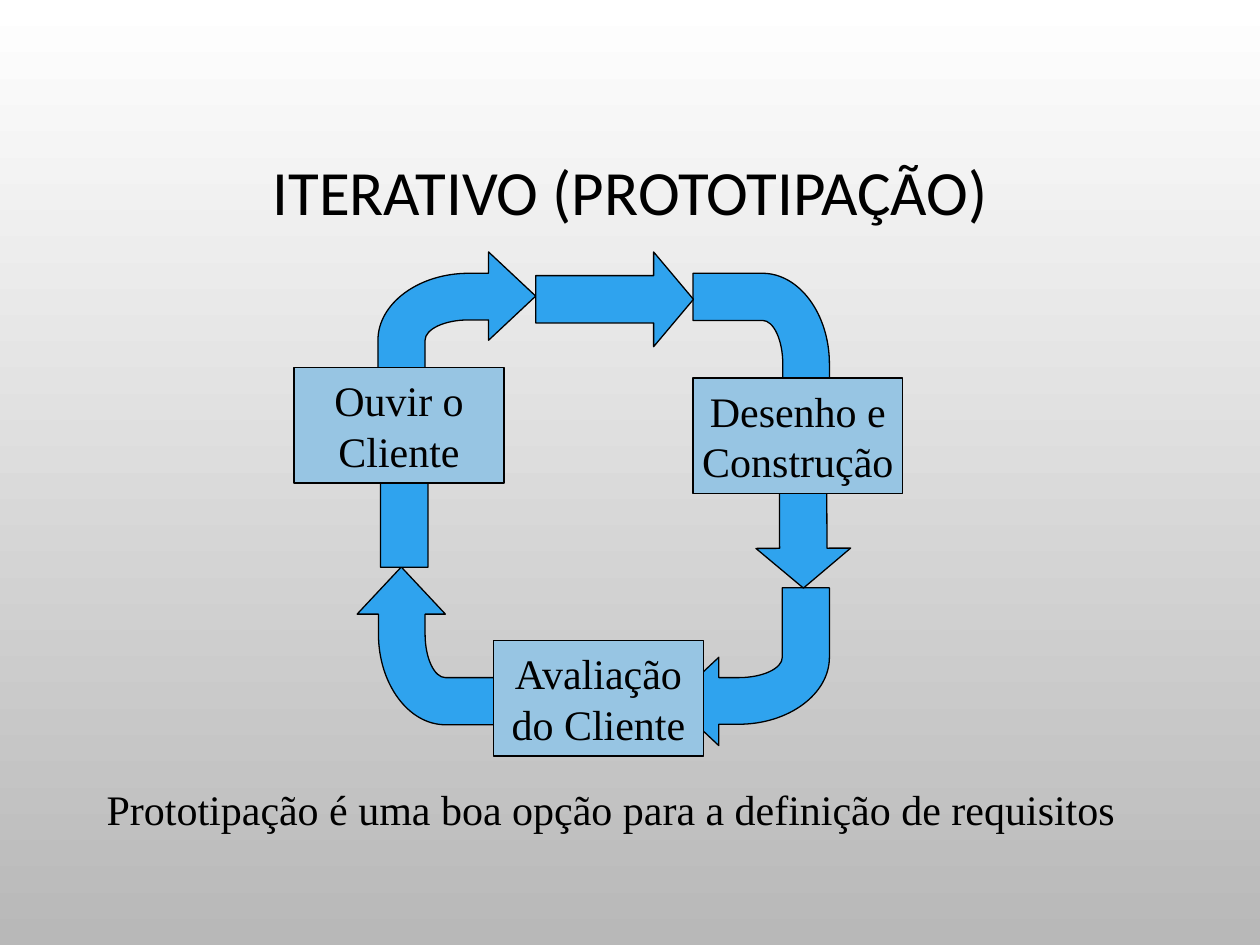
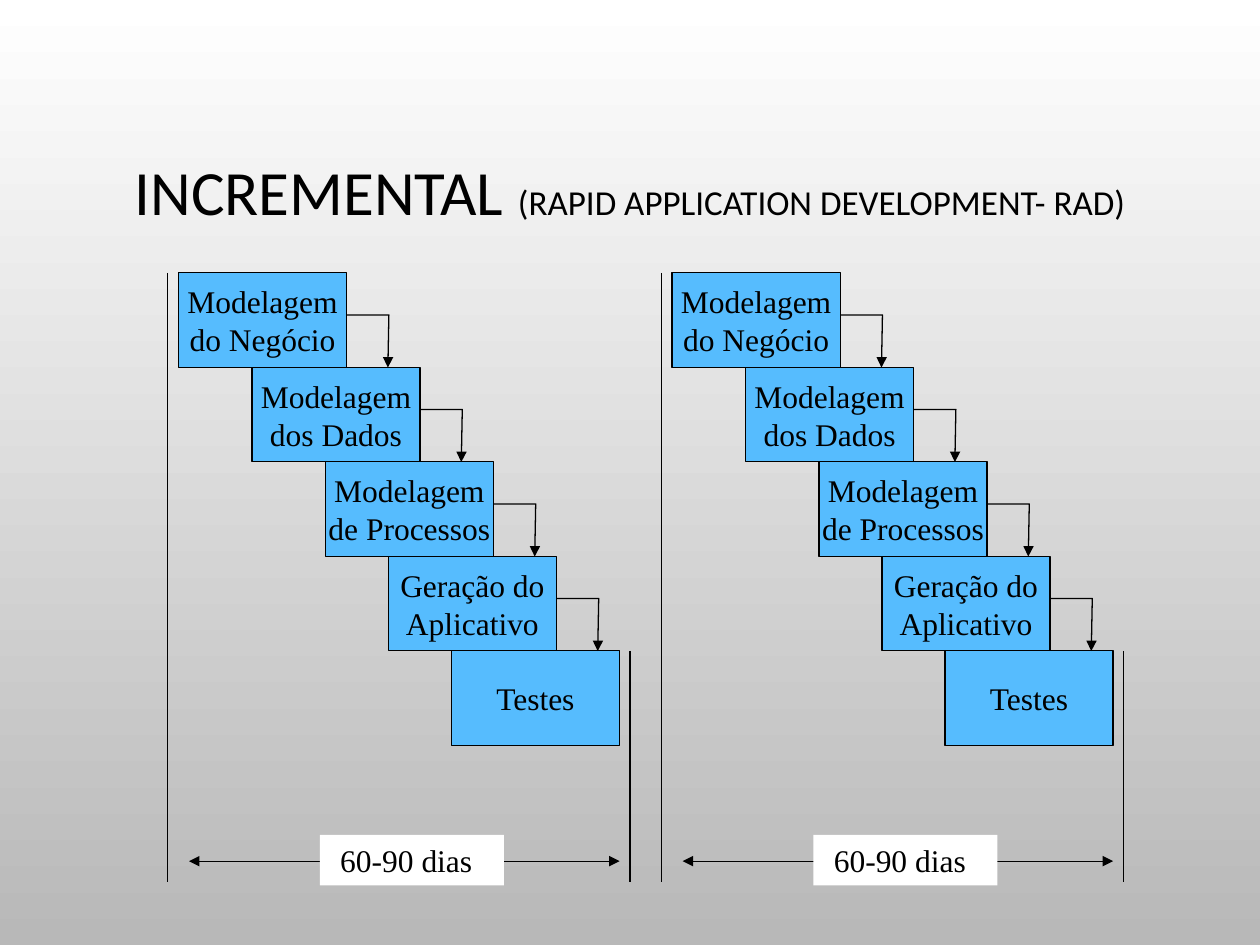
from dataclasses import dataclass

from lxml.etree import SubElement
from pptx import Presentation
from pptx.dml.color import RGBColor
from pptx.enum.shapes import MSO_CONNECTOR as Connector, MSO_SHAPE as Preset
from pptx.enum.text import MSO_ANCHOR as Anchor, MSO_AUTO_SIZE as AutoSize, PP_ALIGN as Align
from pptx.oxml.ns import qn
from pptx.util import Cm, Pt

# Shared colours, fonts and sizes
BLACK = RGBColor(0x00, 0x00, 0x00)
WHITE = RGBColor(0xFF, 0xFF, 0xFF)
GREY = RGBColor(0xB8, 0xB8, 0xB8)
ARROW_BLUE = RGBColor(0x2F, 0xA3, 0xEE)
ACTIVITY_BLUE = RGBColor(0x97, 0xC5, 0xE3)
STEP_BLUE = RGBColor(0x56, 0xBC, 0xFE)
TITLE_FONT = "Calibri"
BODY_FONT = "Times New Roman"
LINE_WIDTH = Pt(0.75)

# Outline of a bent arrow, in centimetres; a CURVE ends a quarter ellipse
BENT_SIZE = 3.18
BENT_OUTLINE = [(BENT_SIZE, 0.89), (2.23, 0), (2.23, 0.43), (1.83, 0.43),
                (0, 1.78), (0, BENT_SIZE), (0.95, BENT_SIZE), (0.95, 1.78),
                (1.83, 1.37), (2.23, 1.37), (2.23, 1.78)]
BENT_CURVES = {4: (0, 0.43), 8: (0.95, 1.37)}  # end point index: corner rounded off
ROUNDNESS = 0.55

# Geometry of the incremental cascades, in centimetres
CASCADE_TOP, LAST_STEP_TOP = 5.5, 13.12
CASCADE_SHIFT = 9.95
STEP_WIDTH = 3.39
STEP_HEIGHT = (LAST_STEP_TOP - CASCADE_TOP) / 4
AXIS_BOTTOM = 17.78
SPAN_Y = 17.36


@dataclass(frozen=True)
class Box:
    """A labelled rectangle; lengths in centimetres."""
    text: str
    left: float
    top: float
    width: float
    height: float
    fill: RGBColor
    size: int


@dataclass(frozen=True)
class Arrow:
    """A block arrow; lengths in centimetres, rotation in degrees."""
    left: float
    top: float
    rotation: float


@dataclass(frozen=True)
class Step:
    text: str
    left: float


BENT_ARROWS = [Arrow(7.62, 5.08, 0), Arrow(13.97, 5.51, 90),
               Arrow(7.2, 11.43, 270), Arrow(13.54, 11.85, 180)]
STRAIGHT_ARROWS = [Arrow(10.8, 5.08, 0), Arrow(14.6, 9.31, 89.8), Arrow(6.56, 8.89, 270)]
ACTIVITIES = [Box(text, left, top, 4.23, 2.33, ACTIVITY_BLUE, 24) for text, left, top in (
    ("Ouvir o\nCliente", 5.93, 7.41),
    ("Desenho e\nConstrução", 13.97, 7.62),
    ("Avaliação\ndo Cliente", 9.95, 12.91))]
STEPS = [Step("Modelagem\ndo Negócio", 3.6), Step("Modelagem\ndos Dados", 5.08),
         Step("Modelagem\nde Processos", 6.56), Step("Geração do\nAplicativo", 7.83),
         Step("Testes", 9.1)]


def write_text(frame, text: str, *, size: int, font: str = BODY_FONT, color: RGBColor = BLACK,
               align=Align.LEFT, anchor=Anchor.TOP, wrap: bool = True,
               spacing: float = 1.0, tail: str = "", tail_size: int = 0) -> None:
    """Write one paragraph per line; the tail ends the last one in its own size."""
    frame.auto_size = AutoSize.NONE
    frame.word_wrap = wrap
    frame.vertical_anchor = anchor
    frame.text = text
    for paragraph in frame.paragraphs:
        paragraph.alignment = align
        paragraph.line_spacing = spacing
    if tail:
        frame.paragraphs[-1].add_run().text = tail
    for paragraph in frame.paragraphs:
        for run in paragraph.runs:
            run.font.name = font
            run.font.size = Pt(size)
            run.font.color.rgb = color
    if tail:
        frame.paragraphs[-1].runs[-1].font.size = Pt(tail_size)


def outline(shape) -> None:
    shape.line.color.rgb = BLACK
    shape.line.width = LINE_WIDTH


def paint(shape, fill: RGBColor) -> None:
    shape.shadow.inherit = False
    shape.fill.solid()
    shape.fill.fore_color.rgb = fill
    outline(shape)


def add_arrowheads(shape, *ends: str) -> None:
    line = shape.line._get_or_add_ln()
    for end in ends:
        SubElement(line, qn(f"a:{end}"), type="triangle")


def add_slide(presentation, title: str, **title_format):
    slide = presentation.slides.add_slide(presentation.slide_layouts[5])
    shape = slide.shapes.title
    shape.left, shape.top, shape.width, shape.height = Cm(1.91), Cm(1.73), Cm(21.59), Cm(4.42)
    write_text(shape.text_frame, title, size=36, font=TITLE_FONT, align=Align.CENTER,
               anchor=Anchor.MIDDLE, spacing=0.9, **title_format)
    return slide


def add_box(shapes, box: Box) -> None:
    shape = shapes.add_shape(Preset.RECTANGLE, Cm(box.left), Cm(box.top),
                             Cm(box.width), Cm(box.height))
    paint(shape, box.fill)
    write_text(shape.text_frame, box.text, size=box.size, align=Align.CENTER,
               anchor=Anchor.MIDDLE, wrap=False)


def add_outline(shapes, points: list, left: float, top: float, close: bool = False):
    """Draw a freeform through points in centimetres, moved to left and top."""
    (start_x, start_y), *rest = [(Cm(x), Cm(y)) for x, y in points]
    builder = shapes.build_freeform(start_x, start_y)
    builder.add_line_segments(rest, close=close)
    return builder.convert_to_shape(Cm(left), Cm(top))


def round_corners(shape, points: list, curves: dict) -> None:
    """Turn the segments that end at the given points into quarter ellipses."""
    segments = list(shape._element.iter(qn("a:lnTo")))
    for index, corner in curves.items():
        segment = segments[index - 1]
        segment.tag = qn("a:cubicBezTo")
        for place, anchor in enumerate((points[index - 1], points[index])):
            x, y = (end + (target - end) * ROUNDNESS for end, target in zip(anchor, corner))
            control = SubElement(segment, qn("a:pt"), x=str(Cm(x)), y=str(Cm(y)))
            segment.insert(place, control)


def add_bent_arrow(shapes, arrow: Arrow) -> None:
    shape = add_outline(shapes, BENT_OUTLINE, arrow.left, arrow.top, close=True)
    round_corners(shape, BENT_OUTLINE, BENT_CURVES)
    paint(shape, ARROW_BLUE)
    shape.rotation = arrow.rotation


def add_straight_arrow(shapes, arrow: Arrow) -> None:
    shape = shapes.add_shape(Preset.RIGHT_ARROW, Cm(arrow.left), Cm(arrow.top),
                             Cm(BENT_SIZE), Cm(1.91))
    paint(shape, ARROW_BLUE)
    shape.adjustments[1] = 0.42
    shape.rotation = arrow.rotation


def add_line(shapes, x1: float, y1: float, x2: float, y2: float, *ends: str) -> None:
    line = shapes.add_connector(Connector.STRAIGHT, Cm(x1), Cm(y1), Cm(x2), Cm(y2))
    outline(line)
    add_arrowheads(line, *ends)
    SubElement(line._element.spPr, qn("a:effectLst"))


def add_elbow(shapes, left: float, top: float) -> None:
    elbow = add_outline(shapes, [(0, 0), (0.85, 0), (0.83, 1.06)], left, top)
    elbow.shadow.inherit = False
    elbow.fill.background()
    outline(elbow)
    add_arrowheads(elbow, "tailEnd")


def add_cascade(slide, shift: float) -> None:
    shapes = slide.shapes.add_group_shape().shapes

    # Steps, then the arrows that lead down to the next one
    corners = [(step.left + shift, CASCADE_TOP + index * STEP_HEIGHT)
               for index, step in enumerate(STEPS)]
    for step, (left, top) in zip(STEPS, corners):
        add_box(shapes, Box(step.text, left, top, STEP_WIDTH, STEP_HEIGHT, STEP_BLUE, 18))
    for left, top in corners[:-1]:
        add_elbow(shapes, left + STEP_WIDTH, top + 0.85)

    # Limits and duration
    add_line(shapes, 3.38 + shift, CASCADE_TOP, 3.38 + shift, AXIS_BOTTOM)
    add_line(shapes, 12.7 + shift, LAST_STEP_TOP, 12.7 + shift, AXIS_BOTTOM)
    add_line(shapes, 3.81 + shift, SPAN_Y, 12.49 + shift, SPAN_Y, "headEnd", "tailEnd")
    label = shapes.add_textbox(Cm(6.45 + shift), Cm(16.83), Cm(3.71), Cm(1.02))
    label.fill.solid()
    label.fill.fore_color.rgb = WHITE
    label.text_frame.margin_left = Cm(0.41)
    write_text(label.text_frame, "60-90 dias", size=18)


def build_iterative(presentation) -> None:
    slide = add_slide(presentation, "ITERATIVO (PROTOTIPAÇÃO)")
    cycle = slide.shapes.add_group_shape().shapes
    for arrow in BENT_ARROWS:
        add_bent_arrow(cycle, arrow)
    for arrow in STRAIGHT_ARROWS:
        add_straight_arrow(cycle, arrow)
    for activity in ACTIVITIES:
        add_box(slide.shapes, activity)
    caption = slide.shapes.add_textbox(Cm(1.9), Cm(15.66), Cm(21.06), Cm(1.27))
    write_text(caption.text_frame,
               "Prototipação é uma boa opção para a definição de requisitos", size=24)


def build_incremental(presentation) -> None:
    slide = add_slide(presentation, "INCREMENTAL ",
                      tail="(RAPID APPLICATION DEVELOPMENT- RAD)", tail_size=20)
    for shift in (0, CASCADE_SHIFT):
        add_cascade(slide, shift)


def main() -> None:
    presentation = Presentation()
    presentation.slide_width, presentation.slide_height = Cm(25.4), Cm(19.05)

    # Background shared through the master
    background = presentation.slide_master.background.fill
    background.gradient()
    background.gradient_angle = 270
    for stop, color, position in zip(background.gradient_stops, (WHITE, GREY), (0, 1)):
        stop.color.rgb = color
        stop.position = position

    build_iterative(presentation)
    build_incremental(presentation)
    presentation.save("out.pptx")


if __name__ == "__main__":
    main()
